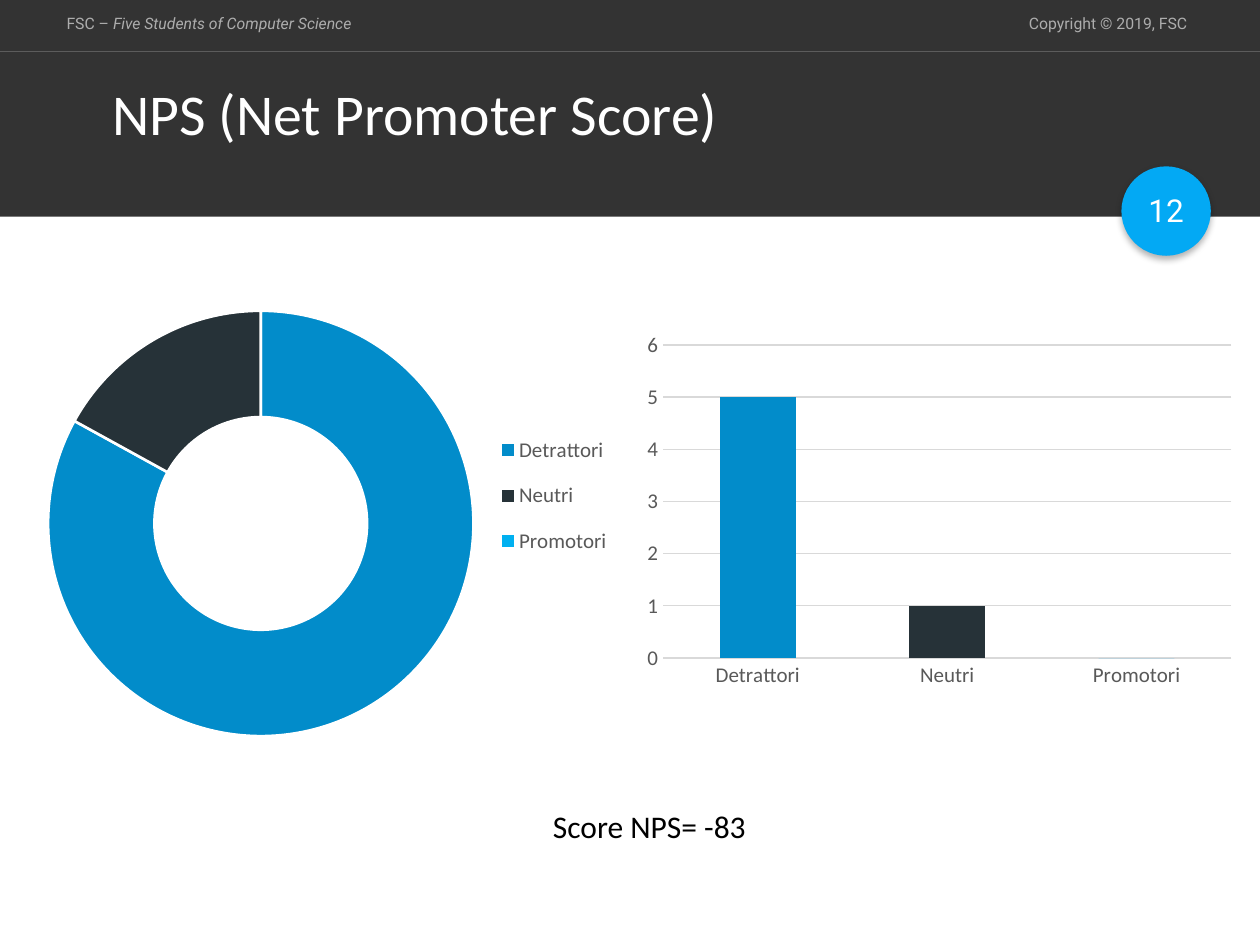
import dataclasses

import lxml.etree
import pptx
import pptx.chart.data
import pptx.dml.color
import pptx.enum.chart
import pptx.enum.shapes
import pptx.enum.text
import pptx.oxml
import pptx.oxml.ns
import pptx.util

Inches, Pt = pptx.util.Inches, pptx.util.Pt
qn = pptx.oxml.ns.qn
CHART = pptx.enum.chart.XL_CHART_TYPE
SHAPE = pptx.enum.shapes.MSO_SHAPE
ALIGN = pptx.enum.text.PP_ALIGN
ANCHOR = pptx.enum.text.MSO_ANCHOR


@dataclasses.dataclass(frozen=True)
class Theme:
    body_font: str = "Calibri"
    header_font: str = "Roboto"
    banner: str = "333333"
    rule: str = "5C5C5C"
    muted: str = "ADADAD"
    accent: str = "03A9F4"
    white: str = "FFFFFF"
    black: str = "000000"
    label: str = "595959"
    grid: str = "D9D9D9"
    detractors: str = "028CCA"
    neutrals: str = "263238"
    promoters: str = "00B0F0"
    title_size: float = 33
    text_size: float = 18
    chart_size: float = 12
    header_size: float = 9


def rgb(value):
    return pptx.dml.color.RGBColor.from_string(value)


def style_font(font, name, size, color):
    font.name, font.size = name, Pt(size)
    font.color.rgb = rgb(color)


def set_layout(parent, index, x, y, w, h, inner=False):
    """Place a plot area or legend by fractions of the chart frame."""
    for old in parent.findall(qn("c:layout")):
        parent.remove(old)
    layout = lxml.etree.Element(qn("c:layout"))
    manual = lxml.etree.SubElement(layout, qn("c:manualLayout"))
    values = {"xMode": "edge", "yMode": "edge", "x": x, "y": y, "w": w, "h": h}
    if inner:
        values = {"layoutTarget": "inner", **values}
    for tag, value in values.items():
        lxml.etree.SubElement(manual, qn(f"c:{tag}")).set("val", str(value))
    parent.insert(index, layout)


class Builder:
    def __init__(self, prs, theme):
        self.theme = theme
        self.s = prs.slides.add_slide(prs.slide_layouts[5])

    def shape(self, kind, box, color):
        sp = self.s.shapes.add_shape(kind, *map(Inches, box))
        sp.shadow.inherit = False
        sp.fill.solid()
        sp.fill.fore_color.rgb = rgb(color)
        sp.line.fill.background()
        return sp

    def badge(self, box):
        sp = self.shape(SHAPE.OVAL, box, self.theme.accent)
        effects = sp.element.spPr.find(qn("a:effectLst"))
        effects.append(pptx.oxml.parse_xml(
            '<a:outerShdw xmlns:a="http://schemas.openxmlformats.org/drawingml/2006/main"'
            f' blurRad="{Pt(4)}" dist="{Pt(2)}" dir="5400000" algn="t" rotWithShape="0">'
            f'<a:srgbClr val="{self.theme.black}"><a:alpha val="30000"/></a:srgbClr>'
            '</a:outerShdw>'))

    def rule(self, x1, x2, y):
        line = self.s.shapes.add_connector(
            pptx.enum.shapes.MSO_CONNECTOR.STRAIGHT,
            Inches(x1), Inches(y), Inches(x2), Inches(y))
        line.line.color.rgb = rgb(self.theme.rule)
        line.line.width = Pt(0.75)
        lxml.etree.SubElement(line.element.spPr, qn("a:effectLst"))

    def title(self, text, box):
        sp = self.s.shapes.title
        sp.left, sp.top, sp.width, sp.height = map(Inches, box)
        tf = sp.text_frame
        tf.text = text
        tf.vertical_anchor = ANCHOR.TOP
        tf.auto_size = pptx.enum.text.MSO_AUTO_SIZE.NONE
        p = tf.paragraphs[0]
        p.alignment, p.line_spacing = ALIGN.LEFT, 0.9
        style_font(p.font, self.theme.body_font, self.theme.title_size, self.theme.white)
        sp.element.getparent().append(sp.element)  # in front of the banner

    def text(self, runs, box, font, size, color, align=ALIGN.LEFT, anchor=ANCHOR.TOP):
        """Add a text box; runs are (text, italic) pairs."""
        tf = self.s.shapes.add_textbox(*map(Inches, box)).text_frame
        tf.word_wrap, tf.vertical_anchor = True, anchor
        p = tf.paragraphs[0]
        p.alignment = align
        style_font(p.font, font, size, color)
        for text, italic in runs:
            r = p.add_run()
            r.text = text
            if italic:
                r.font.italic = True

    def chart(self, kind, box, categories, values, colors, plot_layout):
        data = pptx.chart.data.CategoryChartData()
        data.categories = categories
        data.add_series("Series 1", values)
        chart = self.s.shapes.add_chart(kind, *map(Inches, box), data).chart
        chart.has_title = chart.has_legend = False
        style_font(chart.font, self.theme.body_font, self.theme.chart_size, self.theme.label)
        for i, color in enumerate(colors):
            fill = chart.plots[0].series[0].points[i].format.fill
            fill.solid()
            fill.fore_color.rgb = rgb(color)
        plot_area = chart.element.find(".//" + qn("c:plotArea"))
        set_layout(plot_area, 0, *plot_layout, inner=True)
        return chart

    def doughnut(self, box, categories, values, colors):
        chart = self.chart(CHART.DOUGHNUT, box, categories, values, colors,
                           (0.05, 0.04, 0.7, 0.92))
        plot = chart.plots[0]
        plot.vary_by_categories = True
        for i in range(len(values)):
            line = plot.series[0].points[i].format.line
            line.color.rgb = rgb(self.theme.white)
            line.width = Pt(1.5)
        chart.element.find(".//" + qn("c:holeSize")).set("val", "75")
        chart.has_legend = True
        legend = chart.legend
        legend.position = pptx.enum.chart.XL_LEGEND_POSITION.RIGHT
        legend.include_in_layout = False
        style_font(legend.font, self.theme.body_font, self.theme.chart_size, self.theme.label)
        set_layout(chart.element.find(".//" + qn("c:legend")), 1, 0.78, 0.27, 0.2, 0.34)

    def columns(self, box, categories, values, colors):
        chart = self.chart(CHART.COLUMN_STACKED, box, categories, values, colors,
                           (0.05, 0.06, 0.93, 0.84))
        plot = chart.plots[0]
        plot.vary_by_categories = False
        plot.gap_width, plot.overlap = 150, 100
        for axis in (chart.category_axis, chart.value_axis):
            axis.major_tick_mark = axis.minor_tick_mark = pptx.enum.chart.XL_TICK_MARK.NONE
        value_axis = chart.value_axis
        value_axis.minimum_scale, value_axis.maximum_scale, value_axis.major_unit = 0, 6, 1
        value_axis.format.line.fill.background()
        for line in (chart.category_axis.format.line, value_axis.major_gridlines.format.line):
            line.color.rgb = rgb(self.theme.grid)
            line.width = Pt(0.75)


def main():
    prs = pptx.Presentation()
    prs.slide_width, prs.slide_height = Inches(10), Inches(7.5)
    t = Theme()
    b = Builder(prs, t)

    # Banner and header line
    b.shape(SHAPE.RECTANGLE, (0, 0, 10, 0.41), t.banner)
    b.shape(SHAPE.RECTANGLE, (0, 0.41, 10, 1.31), t.banner)
    b.rule(0, 10, 0.41)
    header = (t.header_font, t.header_size, t.muted)
    b.text([("FSC – ", False), ("Five Students of Computer Science", True)],
           (0.43, 0.06, 4.17, 0.25), *header)
    b.text([("Copyright © 2019, FSC", False)], (5.35, 0.06, 4.17, 0.25), *header,
           align=ALIGN.RIGHT)
    b.badge((8.9, 1.32, 0.71, 0.71))
    b.title("NPS (Net Promoter Score)", (0.79, 0.63, 9.21, 0.47))

    # Charts of the three respondent groups
    groups = ("Detrattori", "Neutri", "Promotori")
    b.doughnut((0.13, 2.32, 4.85, 3.67), groups, (83, 17, 0),
               (t.detractors, t.neutrals, t.promoters))
    b.columns((5.02, 2.56, 4.85, 2.96), groups, (5, 1, 0),
              (t.detractors, t.neutrals, t.accent))

    # Score and slide number
    b.text([("Score NPS= -83", False)], (4.29, 6.36, 3.7, 0.4),
           t.body_font, t.text_size, t.black)
    b.text([("12", False)], (8.96, 1.47, 0.59, 0.4),
           t.header_font, t.text_size, t.white, ALIGN.CENTER, ANCHOR.MIDDLE)

    prs.save("out.pptx")


if __name__ == "__main__":
    main()
